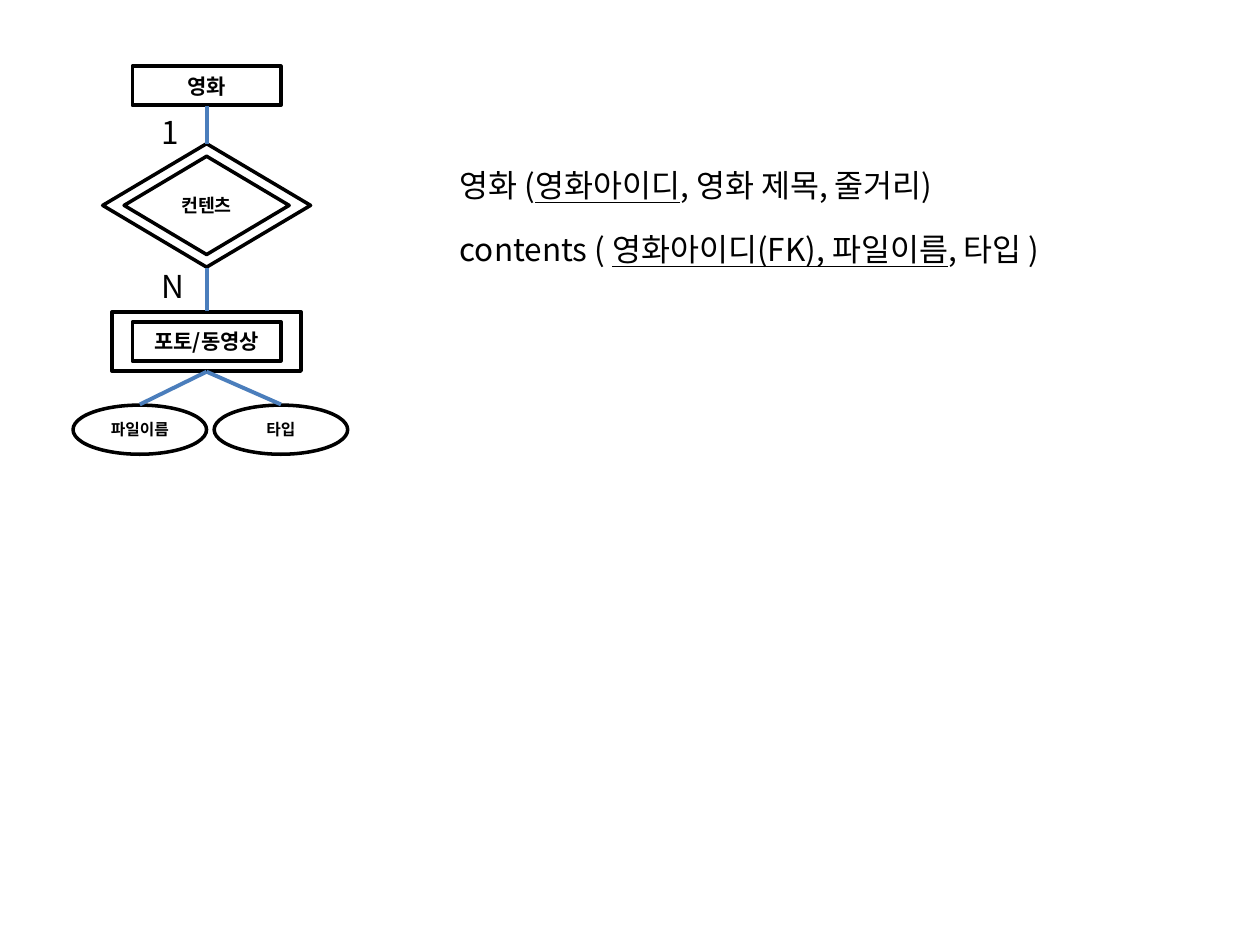
from dataclasses import dataclass
from lxml import etree
from pptx import Presentation
from pptx.dml.color import RGBColor
from pptx.enum.shapes import MSO_CONNECTOR, MSO_SHAPE
from pptx.enum.text import MSO_ANCHOR, PP_ALIGN
from pptx.oxml.ns import qn
from pptx.util import Inches, Pt


@dataclass(frozen=True)
class Theme:
    font: str = "Noto Sans CJK KR"
    ink: str = "000000"
    paper: str = "FFFFFF"
    link: str = "4B7EBC"
    body_size: float = 18
    entity_size: float = 12
    relation_size: float = 10.5
    attribute_size: float = 9
    outline: float = 2
    link_width: float = 2.25


class Diagram:
    def __init__(self, slide, theme):
        self.slide = slide
        self.theme = theme

    def add_text(self, paragraph, text, size, bold=False, underline=False):
        run = paragraph.add_run()
        run.text = text
        font = run.font
        font.name = self.theme.font
        font.size = Pt(size)
        font.bold = bold
        font.underline = underline
        font.color.rgb = RGBColor.from_string(self.theme.ink)
        etree.SubElement(run._r.get_or_add_rPr(), qn("a:ea")).set("typeface", self.theme.font)

    def node(self, kind, center_x, center_y, width, height, text="", size=None):
        shape = self.slide.shapes.add_shape(
            kind, Inches(center_x - width / 2), Inches(center_y - height / 2),
            Inches(width), Inches(height))
        shape.shadow.inherit = False
        shape.fill.solid()
        shape.fill.fore_color.rgb = RGBColor.from_string(self.theme.paper)
        shape.line.color.rgb = RGBColor.from_string(self.theme.ink)
        shape.line.width = Pt(self.theme.outline)
        if text:
            frame = shape.text_frame
            frame.margin_left = frame.margin_right = 0
            frame.vertical_anchor = MSO_ANCHOR.MIDDLE
            paragraph = frame.paragraphs[0]
            paragraph.alignment = PP_ALIGN.CENTER
            self.add_text(paragraph, text, size, bold=True)

    def link(self, x1, y1, x2, y2):
        line = self.slide.shapes.add_connector(
            MSO_CONNECTOR.STRAIGHT, Inches(x1), Inches(y1), Inches(x2), Inches(y2))
        line.line.color.rgb = RGBColor.from_string(self.theme.link)
        line.line.width = Pt(self.theme.link_width)
        etree.SubElement(line._element.spPr, qn("a:effectLst"))

    def label(self, left, top, width, *parts):
        box = self.slide.shapes.add_textbox(
            Inches(left), Inches(top), Inches(width), Inches(0.4))
        box.text_frame.word_wrap = True
        for index, text in enumerate(parts):
            self.add_text(box.text_frame.paragraphs[0], text,
                          self.theme.body_size, underline=index % 2 == 1)


prs = Presentation()
prs.slide_width, prs.slide_height = Inches(10), Inches(7.5)
theme = Theme()
diagram = Diagram(prs.slides.add_slide(prs.slide_layouts[6]), theme)

AXIS = 1.64
MOVIE_Y, RELATION_Y, CONTENT_Y, ATTRIBUTE_Y = 0.68, 1.63, 2.71, 3.41
ENTITY = (1.18, 0.31)

diagram.node(MSO_SHAPE.RECTANGLE, AXIS, CONTENT_Y, 1.5, 0.47)
for y, name in ((MOVIE_Y, "영화"), (CONTENT_Y, "포토/동영상")):
    diagram.node(MSO_SHAPE.RECTANGLE, AXIS, y, *ENTITY, name, theme.entity_size)

diagram.node(MSO_SHAPE.DIAMOND, AXIS, RELATION_Y, 1.65, 0.98)
diagram.node(MSO_SHAPE.DIAMOND, AXIS, RELATION_Y, 1.31, 0.78, "컨텐츠", theme.relation_size)

for start, end in ((1.14, 0.84), (2.13, 2.47)):
    diagram.link(AXIS, start, AXIS, end)

for x, name in ((1.11, "파일이름"), (2.23, "타입")):
    diagram.node(MSO_SHAPE.OVAL, x, ATTRIBUTE_Y, 1.06, 0.39, name, theme.attribute_size)
    diagram.link(AXIS, 2.95, x, 3.21)

for top, width, cardinality in ((2.07, 0.39, "N"), (0.85, 0.34, "1")):
    diagram.label(1.18, top, width, cardinality)

diagram.label(3.55, 1.27, 4.51, "영화 (", "영화아이디", ", 영화 제목, 줄거리)")
diagram.label(3.55, 1.78, 5.1, "contents ( ", "영화아이디(FK), 파일이름", ", 타입 )")

prs.save("out.pptx")
